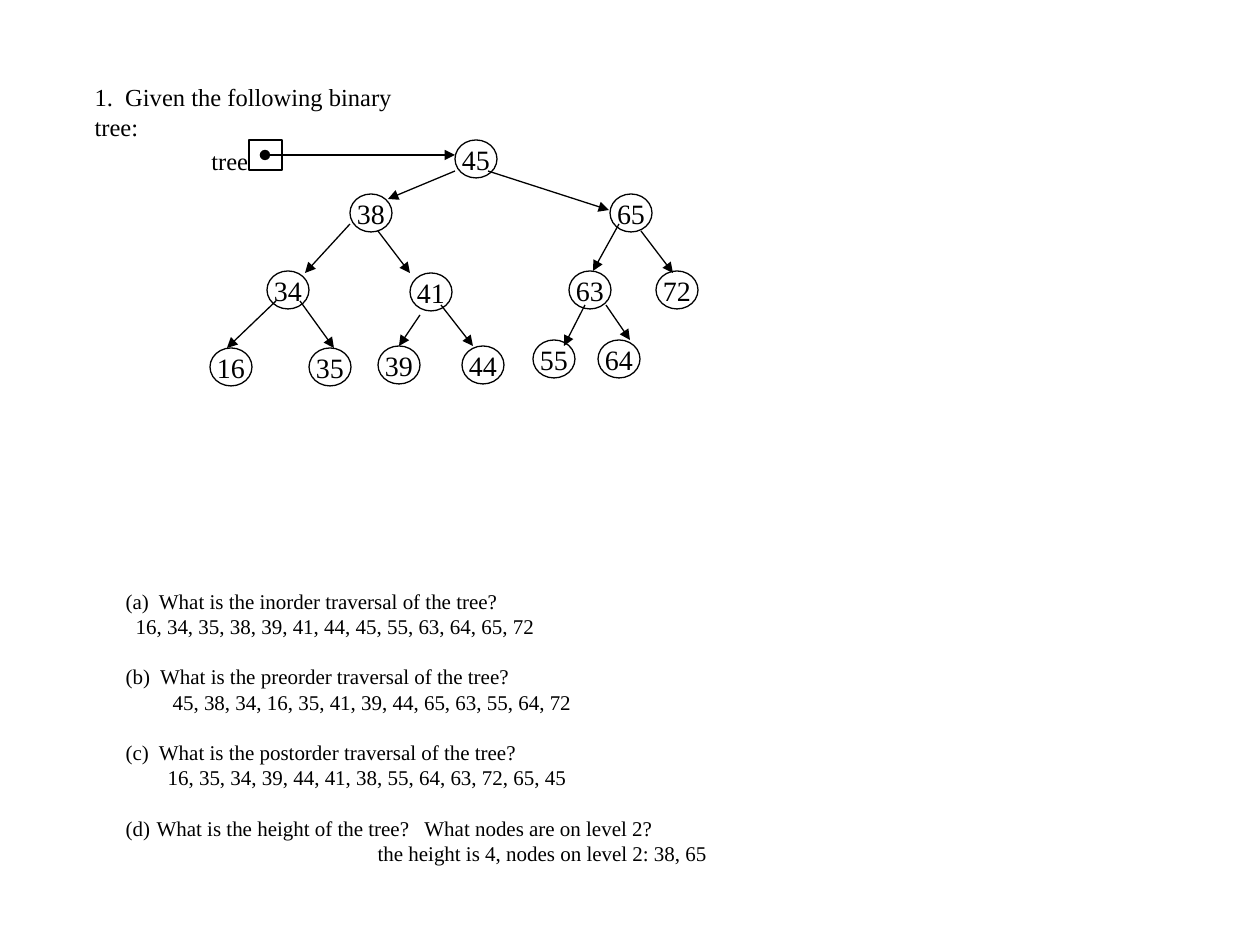
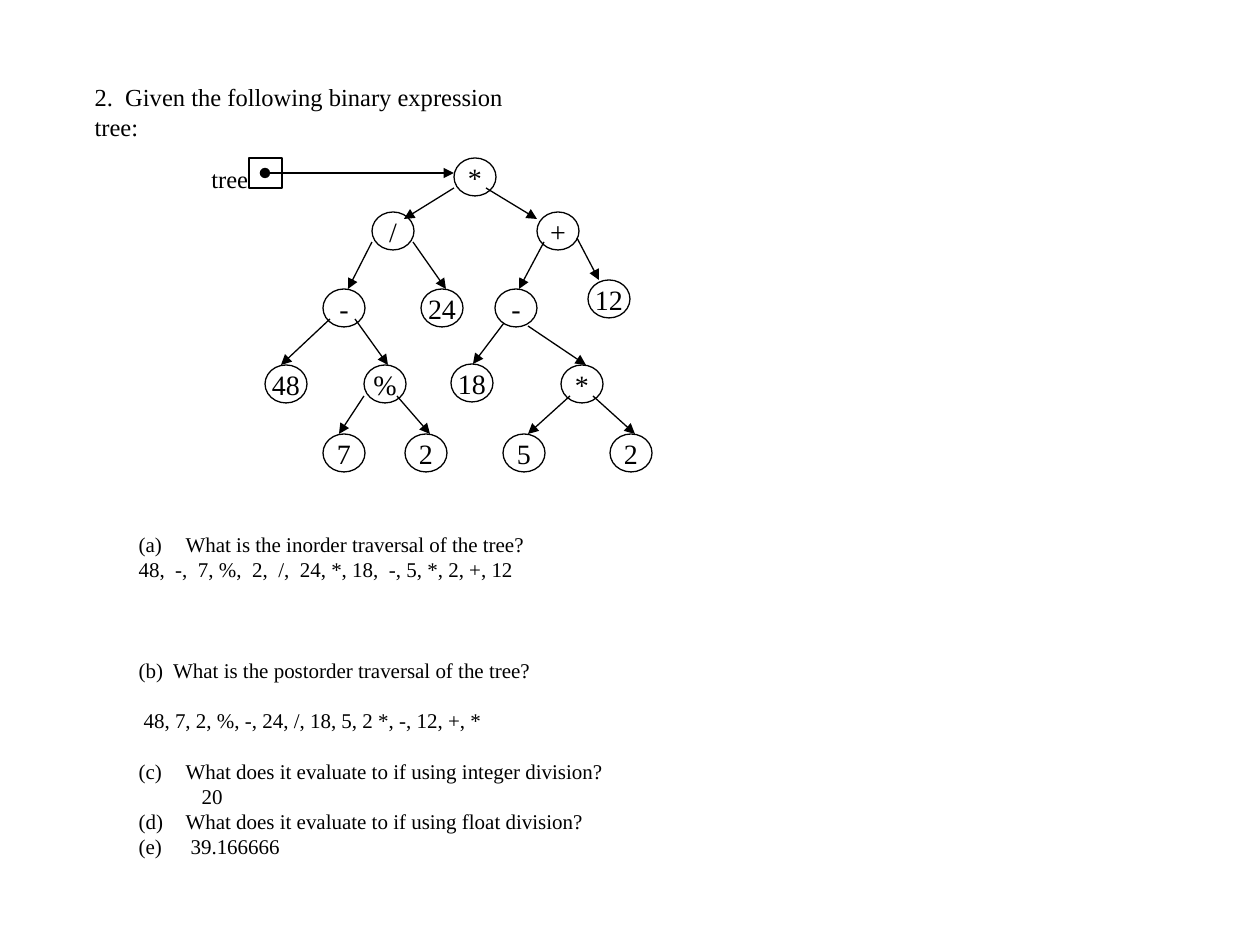
from lxml.etree import SubElement
from pptx import Presentation
from pptx.dml.color import RGBColor
from pptx.enum.shapes import MSO_CONNECTOR, MSO_SHAPE
from pptx.enum.text import MSO_ANCHOR, MSO_AUTO_SIZE, PP_ALIGN
from pptx.oxml.ns import qn
from pptx.util import Emu, Pt

# Shared style
SCALE = 914400 // 126  # EMU in one pixel
COLORS = {"ink": "000000"}
FONT = "Times New Roman"
LEADING = 1.2
TITLE_SIZE, BODY_SIZE, NODE_SIZE = 14, 12, 16
NODE_WIDTH, NODE_HEIGHT = 42, 38
POINTER = {"left": 249, "width": 33, "height": 30}

# Nodes: label, left, top, then start and end of the arrow from the parent.
# Lines: text, indent, blank lines above, automatic number (or None).
PROBLEMS = [
    {
        "title": "1.  Given the following binary tree:",
        "title_width": 360,
        "nodes": [
            ("45", 455, 140, None, None),
            ("38", 350, 194, (455, 171), (388, 199)),
            ("65", 610, 194, (488, 171), (609, 210)),
            ("34", 267, 271, (350, 224), (305, 273)),
            ("41", 410, 273, (378, 231), (410, 273)),
            ("63", 569, 271, (619, 224), (593, 271)),
            ("72", 656, 271, (641, 231), (673, 273)),
            ("16", 210, 348, (276, 301), (227, 348)),
            ("35", 309, 348, (300, 301), (334, 348)),
            ("39", 378, 346, (420, 315), (399, 346)),
            ("44", 462, 346, (441, 305), (473, 346)),
            ("55", 533, 340, (585, 305), (564, 346)),
            ("64", 598, 340, (606, 305), (630, 340)),
        ],
        "body": (113, 582, 667, 292),
        "lines": [
            ("(a)  What is the inorder traversal of the tree?", 0, 0, None),
            ("16, 34, 35, 38, 39, 41, 44, 45, 55, 63, 64, 65, 72", 10, 0, None),
            ("(b)  What is the preorder traversal of the tree?", 0, 1, None),
            ("45, 38, 34, 16, 35, 41, 39, 44, 65, 63, 55, 64, 72", 47, 0, None),
            ("(c)  What is the postorder traversal of the tree?", 0, 1, None),
            ("16, 35, 34, 39, 44, 41, 38, 55, 64, 63, 72, 65, 45", 42, 0, None),
            ("What is the height of the tree?   What nodes are on level 2?", 31, 1, 4),
            ("the height is 4, nodes on level 2: 38, 65", 252, 0, None),
        ],
    },
    {
        "title": "2.  Given the following binary expression tree:",
        "title_width": 470,
        "nodes": [
            ("*", 454, 158, None, None),
            ("/", 372, 212, (454, 188), (404, 219)),
            ("+", 537, 212, (486, 188), (537, 219)),
            ("-", 323, 289, (372, 242), (348, 289)),
            ("24", 421, 289, (413, 242), (446, 289)),
            ("-", 495, 289, (544, 242), (519, 289)),
            ("12", 588, 280, (577, 238), (599, 280)),
            ("48", 265, 365, (330, 319), (281, 365)),
            ("%", 364, 365, (355, 319), (388, 365)),
            ("18", 451, 364, (504, 323), (473, 364)),
            ("*", 561, 365, (528, 326), (586, 365)),
            ("7", 323, 434, (364, 396), (339, 434)),
            ("2", 405, 434, (397, 396), (430, 434)),
            ("5", 503, 434, (570, 396), (528, 434)),
            ("2", 610, 434, (593, 396), (635, 434)),
        ],
        "body": (126, 525, 496, 394),
        "lines": [
            ("What is the inorder traversal of the tree?", 47, 0, 1),
            ("48,  -,  7, %,  2,  /,  24, *, 18,  -, 5, *, 2, +, 12", 0, 0, None),
            ("(b)  What is the postorder traversal of the tree?", 0, 3, None),
            ("48, 7, 2, %, -, 24, /, 18, 5, 2 *, -, 12, +, *", 5, 1, None),
            ("What does it evaluate to if using integer division?", 47, 1, 3),
            ("20", 63, 0, None),
            ("What does it evaluate to if using float division?", 47, 0, 4),
            ("39.166666", 52, 0, 5),
        ],
    },
]


def px(*values):
    return [Emu(value * SCALE) for value in values]


def ink():
    return RGBColor.from_string(COLORS["ink"])


def write(para, text, size, align=PP_ALIGN.LEFT, indent=0, blanks=0, number=None):
    """Fill one paragraph; a number gives it a hanging (a), (b), (c) label."""
    span = para.add_run()
    span.text = text
    span.font.name, span.font.size = FONT, Pt(size)
    span.font.color.rgb = ink()
    para.alignment = align
    para.line_spacing = Pt(size * LEADING)
    para.space_before = Pt(size * LEADING * blanks)
    props = para._p.get_or_add_pPr()
    props.set("marL", str(indent * SCALE))
    props.set("indent", str(-indent * SCALE if number else 0))
    if number:
        SubElement(props, qn("a:buFont"), typeface=FONT)
        SubElement(props, qn("a:buAutoNum"), type="alphaLcParenBoth", startAt=str(number))
    else:
        SubElement(props, qn("a:buNone"))


def place(holder, area, fit):
    holder.left, holder.top, holder.width, holder.height = px(*area)
    frame = holder.text_frame
    frame.word_wrap, frame.auto_size = True, fit
    frame.vertical_anchor = MSO_ANCHOR.TOP
    return frame


def add_outline(shapes, kind, area):
    shape = shapes.add_shape(kind, *px(*area))
    shape.shadow.inherit = False
    shape.fill.background()
    shape.line.color.rgb, shape.line.width = ink(), Pt(0.75)
    return shape


def add_arrow(shapes, start, end, head=None):
    arrow = shapes.add_connector(MSO_CONNECTOR.STRAIGHT, *px(*start, *end))
    arrow.line.color.rgb, arrow.line.width = ink(), Pt(0.75)
    outline = arrow.line._get_or_add_ln()
    if head:
        SubElement(outline, qn("a:headEnd"), type=head)
    SubElement(outline, qn("a:tailEnd"), type="triangle")
    SubElement(arrow._element.spPr, qn("a:effectLst"))


def add_tree(page, nodes):
    shapes = page.shapes.add_group_shape().shapes

    # Nodes and the arrows that lead to them
    for label, left, top, start, end in nodes:
        node = add_outline(shapes, MSO_SHAPE.OVAL, (left, top, NODE_WIDTH, NODE_HEIGHT))
        frame = node.text_frame
        frame.word_wrap, frame.vertical_anchor = False, MSO_ANCHOR.MIDDLE
        write(frame.paragraphs[0], label, NODE_SIZE, align=PP_ALIGN.CENTER)
        if start:
            add_arrow(shapes, start, end)

    # Pointer to the root
    root_left, root_top = nodes[0][1:3]
    left, width, height = POINTER["left"], POINTER["width"], POINTER["height"]
    add_outline(shapes, MSO_SHAPE.RECTANGLE, (left, root_top, width, height))
    label = shapes.add_textbox(*px(left - 50, root_top, 62, 42))
    label.text_frame.word_wrap = False
    write(label.text_frame.paragraphs[0], "tree", TITLE_SIZE)
    middle = root_top + height // 2
    add_arrow(shapes, (left + width // 2, middle), (root_left, middle), head="oval")


deck = Presentation()
deck.slide_width, deck.slide_height = px(1260, 945)

for problem in PROBLEMS:
    page = deck.slides.add_slide(deck.slide_layouts[1])

    # Title
    area = (82, 76, problem["title_width"], 42)
    frame = place(page.shapes.title, area, MSO_AUTO_SIZE.SHAPE_TO_FIT_TEXT)
    write(frame.paragraphs[0], problem["title"], TITLE_SIZE)

    # Questions and answers
    frame = place(page.placeholders[1], problem["body"], MSO_AUTO_SIZE.NONE)
    for index, (text, indent, blanks, number) in enumerate(problem["lines"]):
        para = frame.add_paragraph() if index else frame.paragraphs[0]
        write(para, text, BODY_SIZE, indent=indent, blanks=blanks, number=number)

    add_tree(page, problem["nodes"])

deck.save("out.pptx")
